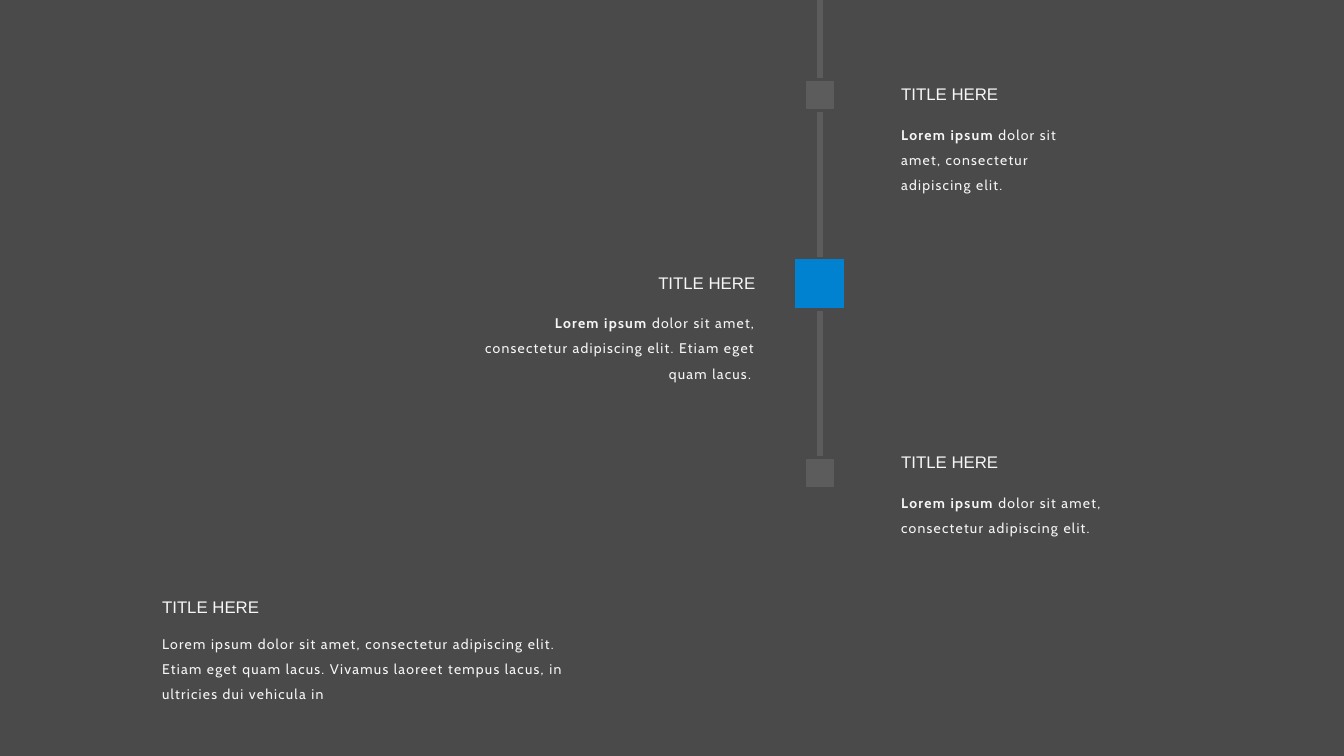
from pptx import Presentation
from pptx.dml.color import RGBColor
from pptx.enum.shapes import MSO_CONNECTOR, MSO_SHAPE
from pptx.enum.text import MSO_AUTO_SIZE, PP_ALIGN
from pptx.oxml.ns import qn
from pptx.util import Inches, Pt
from lxml import etree

STRAIGHT = MSO_CONNECTOR.STRAIGHT
RECTANGLE = MSO_SHAPE.RECTANGLE
GROW = MSO_AUTO_SIZE.SHAPE_TO_FIT_TEXT
LEFT, RIGHT = PP_ALIGN.LEFT, PP_ALIGN.RIGHT

COLORS = {"background": "4A4A4A", "track": "5C5C5C", "accent": "0082D0", "text": "F6F6F6"}
TITLE_WIDTH, TITLE_HEIGHT = 1.87, 0.3
AXIS_X, FIRST_Y, STEP_Y = 8.13, 0.94, 1.875
MILESTONES = [(0.31, "track"), (0.51, "accent"), (0.31, "track")]

TITLE = "TITLE HERE"
LEAD = "Lorem ipsum "
SENTENCE = "dolor sit amet, consectetur adipiscing elit."
# edge x, top, body width, body height, body offset, alignment, lead, body
ENTRIES = [
    (8.84, 0.78, 2.18, 0.58, 0.34, LEFT, LEAD, SENTENCE),
    (7.59, 2.66, 2.98, 0.57, 0.33, RIGHT, LEAD, SENTENCE + " Etiam eget quam lacus. "),
    (8.84, 4.43, 3, 0.58, 0.34, LEFT, LEAD, SENTENCE),
    (1.51, 5.87, 4.39, 0.83, 0.3, LEFT, "",
     LEAD + SENTENCE + " Etiam eget quam lacus. Vivamus laoreet tempus lacus, "
     "in ultricies dui vehicula in"),
]


def color(name):
    return RGBColor.from_string(COLORS[name])


def add_text(slide, box, text, lead="", font="Cabin", size=10, align=LEFT,
             line_spacing=None, tracking=None):
    """Place one paragraph, with an optional bold lead; tracking is in points."""
    frame = slide.shapes.add_textbox(*map(Inches, box)).text_frame
    frame.word_wrap = True
    frame.auto_size = GROW
    paragraph = frame.paragraphs[0]
    paragraph.alignment = align
    paragraph.line_spacing = line_spacing
    for words, bold in ((lead, True), (text, False)):
        if not words:
            continue
        run = paragraph.add_run()
        run.text = words
        run.font.name = font
        run.font.size = Pt(size)
        run.font.bold = bold
        run.font.color.rgb = color("text")
        if tracking:
            run.font._element.set("spc", str(round(tracking * 100)))


def add_timeline(slide, x, first_y, step):
    """Draw the vertical track from the slide's top edge and its milestones."""
    last_y = first_y + step * (len(MILESTONES) - 1)
    track = slide.shapes.add_connector(
        STRAIGHT, Inches(x), Inches(last_y), Inches(x), Inches(0))
    track.line.color.rgb = color("track")
    track.line.width = Pt(4)
    etree.SubElement(track._element.spPr, qn("a:effectLst"))
    for index, (side, fill) in enumerate(MILESTONES):
        y = first_y + step * index
        milestone = slide.shapes.add_shape(
            RECTANGLE, Inches(x - side / 2), Inches(y - side / 2), Inches(side), Inches(side))
        milestone.shadow.inherit = False
        milestone.fill.solid()
        milestone.fill.fore_color.rgb = color(fill)
        milestone.line.color.rgb = color("background")
        milestone.line.width = Pt(2)


def add_entry(slide, edge, top, width, height, offset, align, lead, body):
    """Place a title over its body; edge is the side that the text aligns to."""
    def left(box_width):
        return edge - box_width if align == RIGHT else edge

    add_text(slide, (left(TITLE_WIDTH), top, TITLE_WIDTH, TITLE_HEIGHT), TITLE,
             font="Arial", size=12, align=align)
    add_text(slide, (left(width), top + offset, width, height), body, lead=lead,
             align=align, line_spacing=1.5, tracking=0.9)


def main():
    deck = Presentation()
    deck.slide_width, deck.slide_height = Inches(13.33), Inches(7.5)
    slide = deck.slides.add_slide(deck.slide_layouts[6])
    slide.background.fill.solid()
    slide.background.fill.fore_color.rgb = color("background")
    add_timeline(slide, AXIS_X, FIRST_Y, STEP_Y)
    for entry in ENTRIES:
        add_entry(slide, *entry)
    deck.save("out.pptx")


if __name__ == "__main__":
    main()
